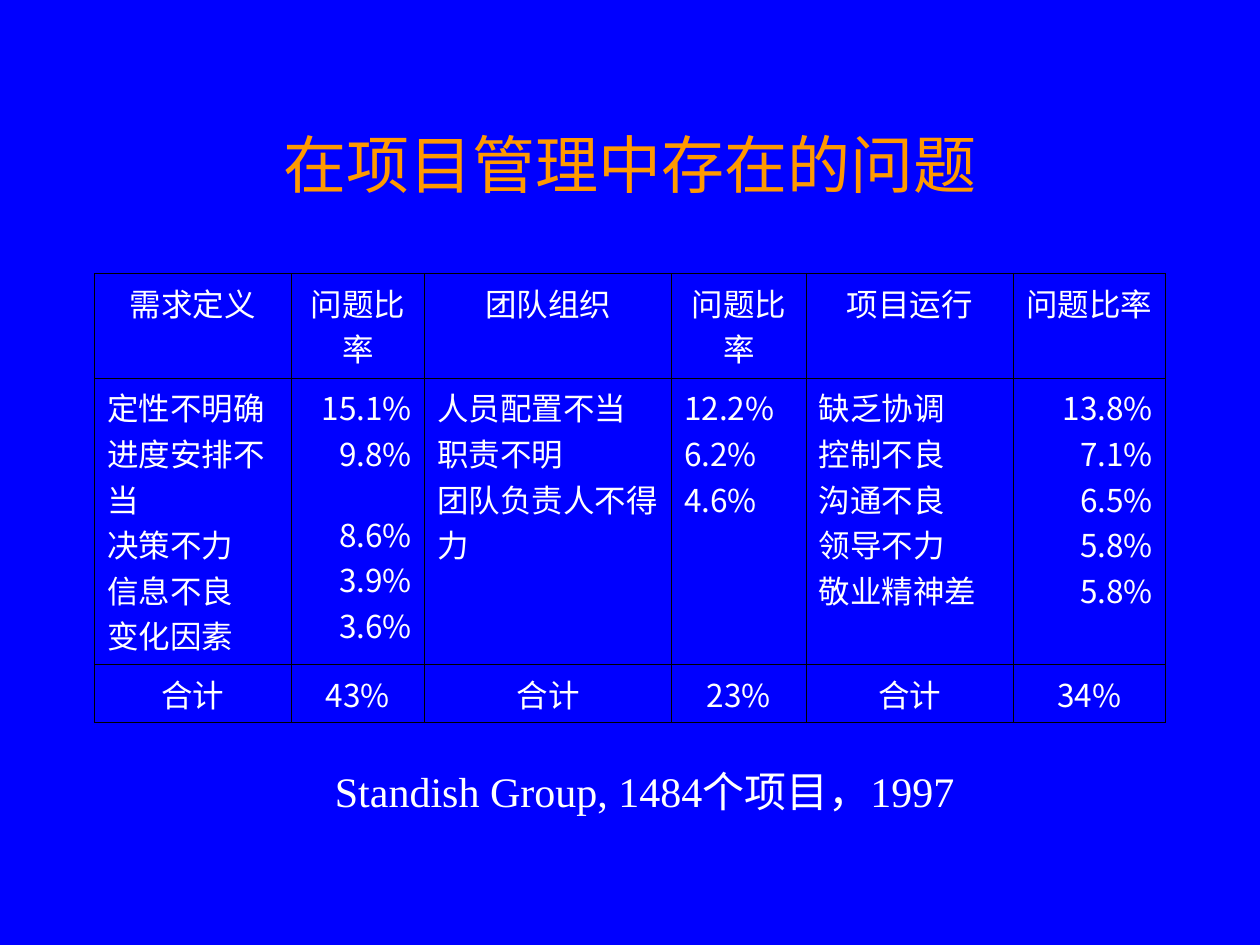
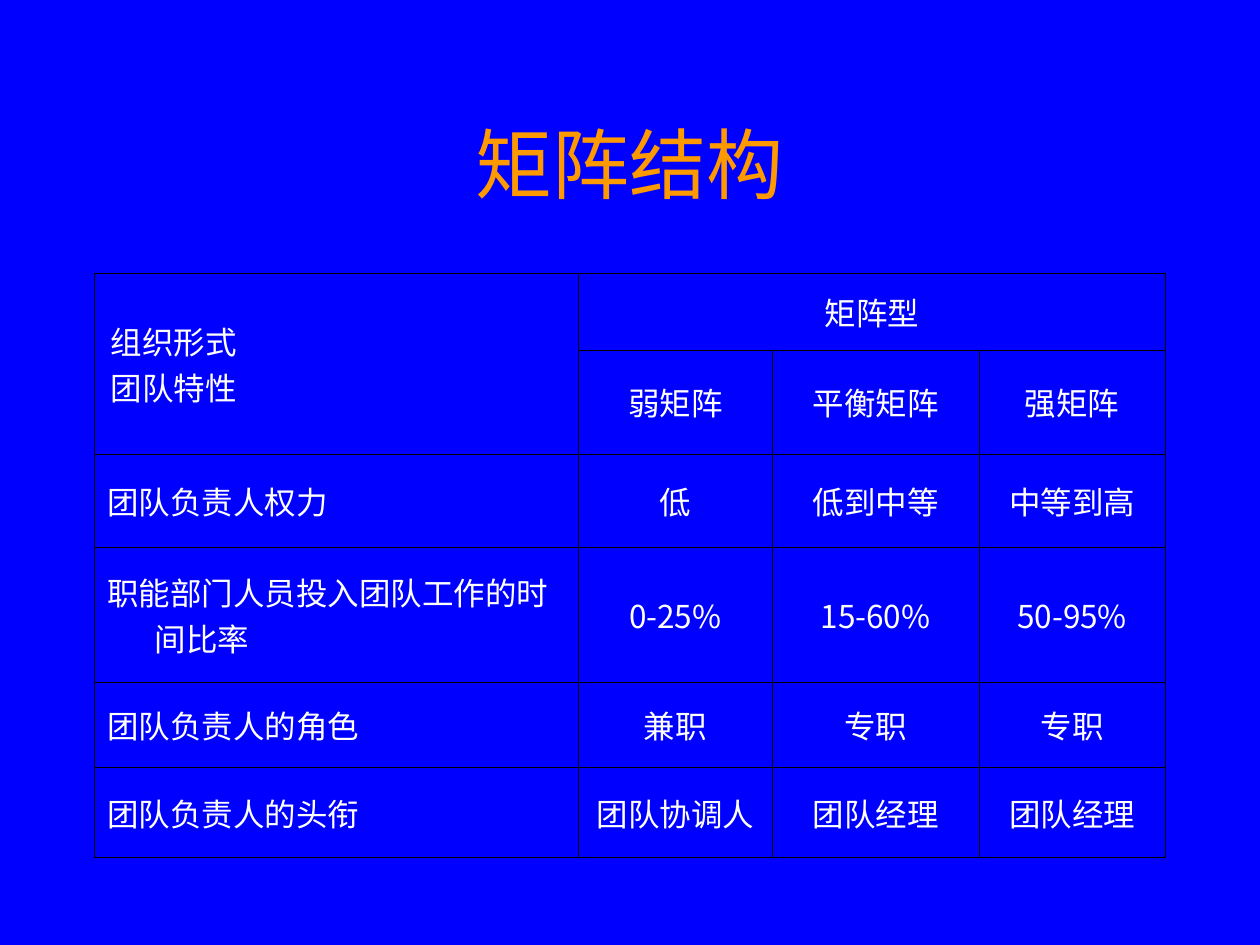
from lxml.etree import SubElement
from pptx import Presentation
from pptx.dml.color import RGBColor
from pptx.enum.text import MSO_ANCHOR, PP_ALIGN
from pptx.oxml import parse_xml
from pptx.oxml.ns import nsdecls, qn
from pptx.util import Inches, Pt

BLUE, ORANGE, WHITE, BLACK = "0000FF", "FF9900", "FFFFFF", "000000"
SANS, SERIF = "Noto Sans CJK SC", "Times New Roman"
LEFT, CENTER, RIGHT = PP_ALIGN.LEFT, PP_ALIGN.CENTER, PP_ALIGN.RIGHT
SLIDE_WIDTH, SLIDE_HEIGHT = 10, 7.5
MARGIN = 0.75
CONTENT_WIDTH = SLIDE_WIDTH - 2 * MARGIN
TITLE_TOP, TITLE_HEIGHT, TABLE_TOP = 0.67, 1.25, 2.17
BORDER_WIDTH = Pt(0.45)

PROBLEMS = {
    "title": "在项目管理中存在的问题",
    "title_size": 36,
    "columns": [1.56, 1.06, 1.96, 1.07, 1.64, 1.21],
    "rows": [0.83, 2.27, 0.46],
    "cells": [
        ["需求定义", "问题比率", "团队组织", "问题比率", "项目运行", "问题比率"],
        [
            "定性不明确\n进度安排不当\n决策不力\n信息不良\n变化因素",
            "15.1%\n9.8%\n8.6%\n3.9%\n3.6%",
            "人员配置不当\n职责不明\n团队负责人不得力",
            "12.2%\n6.2%\n4.6%",
            "缺乏协调\n控制不良\n沟通不良\n领导不力\n敬业精神差",
            "13.8%\n7.1%\n6.5%\n5.8%\n5.8%",
        ],
        ["合计", "43%", "合计", "23%", "合计", "34%"],
    ],
}
DETAIL_ALIGNMENTS = [LEFT, RIGHT, LEFT, LEFT, LEFT, RIGHT]
SOURCE_NOTE = "Standish Group, 1484个项目，1997"

MATRIX = {
    "title": "矩阵结构",
    "title_size": 44,
    "columns": [3.84, 1.54, 1.64, 1.48],
    "rows": [0.61, 0.7, 0.74, 1.07, 0.68, 0.71],
    "cells": [
        ["组织形式\n团队特性", "矩阵型", "", ""],
        ["", "弱矩阵", "平衡矩阵", "强矩阵"],
        ["团队负责人权力", "低", "低到中等", "中等到高"],
        ["职能部门人员投入团队工作的时间比率", "0-25%", "15-60%", "50-95%"],
        ["团队负责人的角色", "兼职", "专职", "专职"],
        ["团队负责人的头衔", "团队协调人", "团队经理", "团队经理"],
    ],
}


def color(value):
    return RGBColor.from_string(value)


def format_text(text_frame, size, text_color, alignment, font_name=SANS):
    for paragraph in text_frame.paragraphs:
        paragraph.alignment = alignment
        for run in paragraph.runs:
            run.font.size = Pt(size)
            run.font.name = font_name
            run.font.color.rgb = color(text_color)
            SubElement(run.font._element, qn("a:ea"), typeface=SANS)


def indent_paragraphs(text_frame, left, first_line):
    for paragraph in text_frame.paragraphs:
        properties = paragraph._p.get_or_add_pPr()
        properties.set("marL", str(Inches(left)))
        properties.set("indent", str(Inches(first_line)))


def add_borders(cell):
    properties = cell._tc.get_or_add_tcPr()
    for position, side in enumerate("LRTB"):
        properties.insert(position, parse_xml(
            f'<a:ln{side} {nsdecls("a")} w="{BORDER_WIDTH}"><a:solidFill>'
            f'<a:srgbClr val="{BLACK}"/></a:solidFill></a:ln{side}>'))


def add_titled_slide(presentation, content):
    slide = presentation.slides.add_slide(presentation.slide_layouts[5])
    title = slide.shapes.title
    title.left, title.top = Inches(MARGIN), Inches(TITLE_TOP)
    title.width, title.height = Inches(CONTENT_WIDTH), Inches(TITLE_HEIGHT)
    title.text_frame.text = content["title"]
    title.text_frame.vertical_anchor = MSO_ANCHOR.MIDDLE
    format_text(title.text_frame, content["title_size"], ORANGE, CENTER)
    return slide


def add_grid(slide, content, alignment_at, anchor):
    columns, rows = content["columns"], content["rows"]
    table = slide.shapes.add_table(
        len(rows), len(columns), Inches(MARGIN), Inches(TABLE_TOP),
        Inches(CONTENT_WIDTH), Inches(sum(rows))).table
    table.first_row = table.horz_banding = False
    for column, width in zip(table.columns, columns):
        column.width = Inches(width)
    for row, height in zip(table.rows, rows):
        row.height = Inches(height)
    for row_index, texts in enumerate(content["cells"]):
        for column_index, text in enumerate(texts):
            cell = table.cell(row_index, column_index)
            cell.fill.background()
            cell.vertical_anchor = anchor
            add_borders(cell)
            if text:
                cell.text_frame.text = text
                format_text(cell.text_frame, 18, WHITE, alignment_at(row_index, column_index))
    return table


def build_problems(presentation):
    slide = add_titled_slide(presentation, PROBLEMS)
    table = add_grid(
        slide, PROBLEMS,
        lambda row, column: DETAIL_ALIGNMENTS[column] if row == 1 else CENTER,
        MSO_ANCHOR.TOP)
    table.cell(1, 1).text_frame.paragraphs[2].space_before = Pt(20)
    note = slide.shapes.add_textbox(Inches(2.56), Inches(6.03), Inches(6.77), Inches(0.5))
    note.text_frame.word_wrap = True
    note.text_frame.text = SOURCE_NOTE
    format_text(note.text_frame, 24, WHITE, LEFT, SERIF)


def build_matrix(presentation):
    slide = add_titled_slide(presentation, MATRIX)
    table = add_grid(
        slide, MATRIX,
        lambda row, column: CENTER if column else LEFT,
        MSO_ANCHOR.MIDDLE)
    for cell in table.iter_cells():
        indent_paragraphs(cell.text_frame, 0.38, -0.38)
    indent_paragraphs(table.cell(0, 0).text_frame, 0.38, -0.35)
    table.cell(0, 0).merge(table.cell(1, 0))
    table.cell(0, 1).merge(table.cell(0, 3))


def main():
    presentation = Presentation()
    presentation.slide_width = Inches(SLIDE_WIDTH)
    presentation.slide_height = Inches(SLIDE_HEIGHT)
    background = presentation.slide_master.background.fill
    background.solid()
    background.fore_color.rgb = color(BLUE)
    build_problems(presentation)
    build_matrix(presentation)
    presentation.save("out.pptx")


if __name__ == "__main__":
    main()
